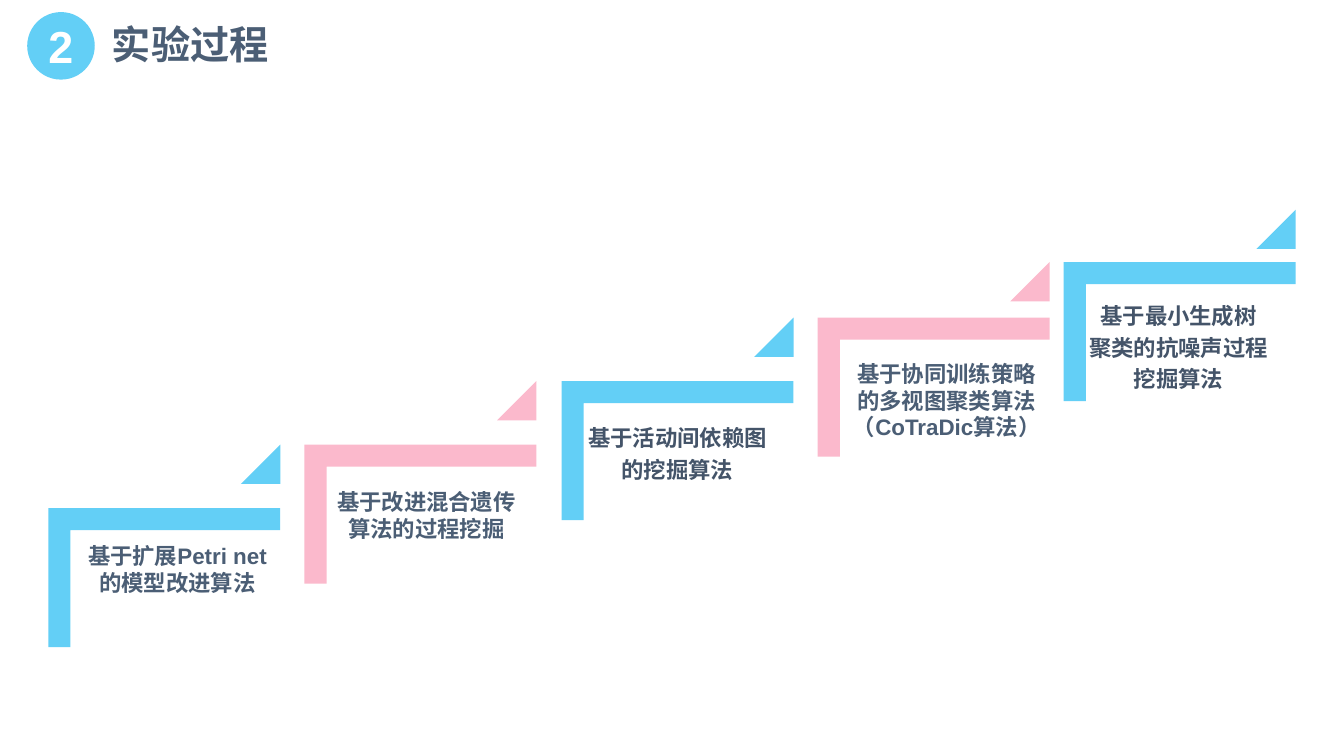
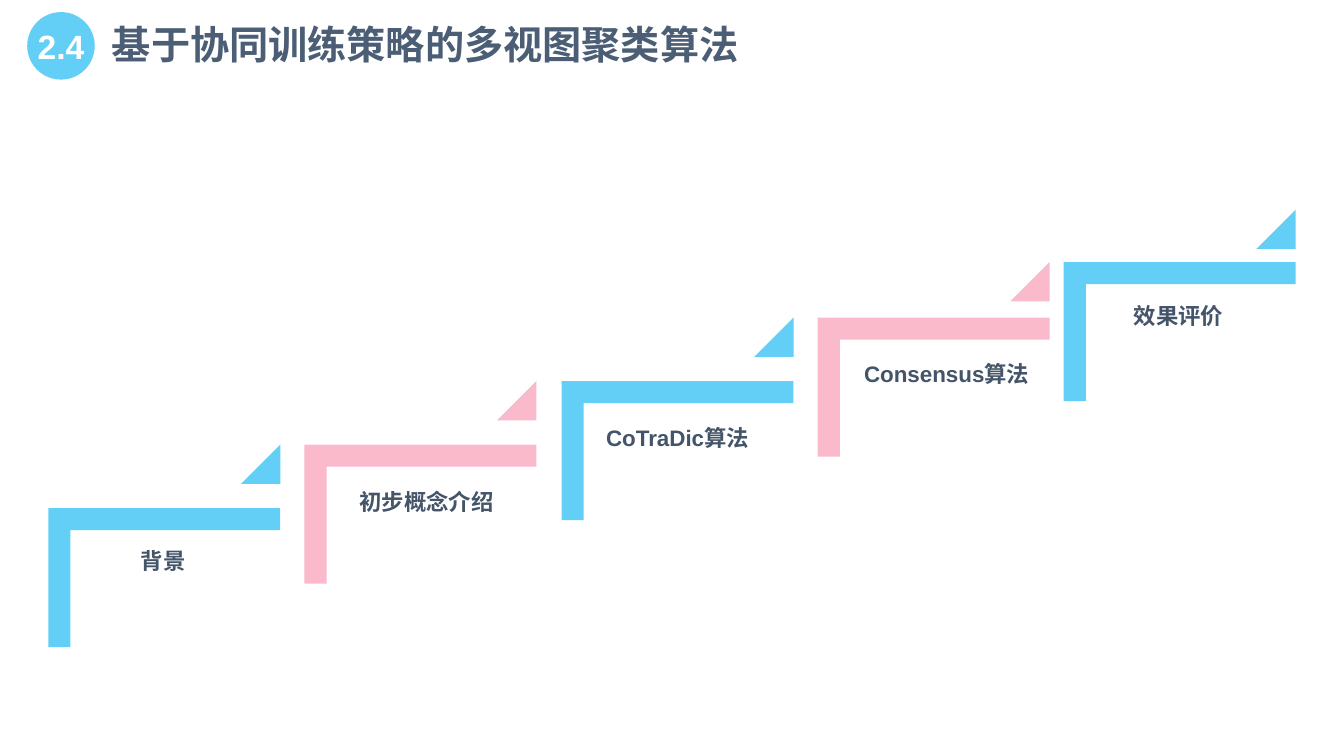
from pptx import Presentation
from pptx.dml.color import RGBColor
from pptx.enum import shapes, text
from pptx.util import Inches, Pt

BLUE = RGBColor(0x63, 0xCF, 0xF6)
PINK = RGBColor(0xFB, 0xB9, 0xCC)
WHITE = RGBColor(0xFF, 0xFF, 0xFF)
SLATE = RGBColor(0x4B, 0x5E, 0x75)
DARK_SLATE = RGBColor(0x44, 0x54, 0x69)
FONT = "Arial"

STEP_WIDTH, STEP_HEIGHT, BAND = 2.3, 1.38, 0.22
FLAG_SIZE = 0.39
LABEL_WIDTH = 2.56
STEPS = [
    (0.48, 5.04, 4.41, BLUE),
    (3.02, 4.41, 3.78, PINK),
    (5.57, 3.78, 3.15, BLUE),
    (8.11, 3.15, 2.6, PINK),
    (10.55, 2.6, 2.08, BLUE),
]

SLIDES = [
    ("2", 32, "实验过程", [
        (0.48, 5.38, "基于扩展Petri net\n的模型改进算法", SLATE, 0),
        (2.95, 4.84, "基于改进混合遗传\n算法的过程挖掘", SLATE, 0),
        (5.44, 4.21, "基于活动间依赖图\n的挖掘算法", DARK_SLATE, 3.2),
        (8.11, 3.57, "基于协同训练策略\n的多视图聚类算法\n（CoTraDic算法）", SLATE, 0),
        (10.41, 3, "基于最小生成树\n聚类的抗噪声过程\n挖掘算法", DARK_SLATE, 3.2),
    ]),
    ("2.4", 24, "基于协同训练策略的多视图聚类算法", [
        (0.34, 5.43, "背景", DARK_SLATE, 0),
        (2.95, 4.84, "初步概念介绍", DARK_SLATE, 0),
        (5.44, 4.21, "CoTraDic算法", DARK_SLATE, 0),
        (8.11, 3.57, "Consensus算法", DARK_SLATE, 0),
        (10.41, 3, "效果评价", DARK_SLATE, 0),
    ]),
]


def paint(shape, color):
    shape.shadow.inherit = False
    shape.fill.solid()
    shape.fill.fore_color.rgb = color
    shape.line.fill.background()


def write(frame, words, size, color, align, gap=0):
    frame.text = words
    for index, paragraph in enumerate(frame.paragraphs):
        paragraph.alignment = align
        paragraph.space_before = Pt(gap if index else 0)
        for run in paragraph.runs:
            run.font.name = FONT
            run.font.size = Pt(size)
            run.font.bold = True
            run.font.color.rgb = color


prs = Presentation()
prs.slide_width = Inches(13.33)
prs.slide_height = Inches(7.5)

for number, number_size, heading, labels in SLIDES:
    slide = prs.slides.add_slide(prs.slide_layouts[5])

    title = slide.shapes.title
    title.left, title.top = Inches(1.01), Inches(0.15)
    title.width, title.height = Inches(11.8), Inches(0.57)
    title.text_frame.auto_size = text.MSO_AUTO_SIZE.NONE
    title.text_frame.vertical_anchor = text.MSO_ANCHOR.MIDDLE
    write(title.text_frame, heading, 28, SLATE, text.PP_ALIGN.LEFT)

    badge = slide.shapes.add_shape(
        shapes.MSO_SHAPE.OVAL, Inches(0.27), Inches(0.12), Inches(0.67), Inches(0.67))
    paint(badge, BLUE)
    badge.text_frame.word_wrap = False
    badge.text_frame.margin_left = badge.text_frame.margin_right = 0
    badge.text_frame.margin_top = badge.text_frame.margin_bottom = 0
    write(badge.text_frame, number, number_size, WHITE, text.PP_ALIGN.CENTER)

    for left, top, flag_top, color in STEPS:
        right, bottom = left + STEP_WIDTH, top + STEP_HEIGHT
        corners = [
            (right, top), (right, top + BAND), (left + BAND, top + BAND),
            (left + BAND, bottom), (left, bottom),
        ]
        outline = slide.shapes.build_freeform(Inches(left), Inches(top))
        outline.add_line_segments([(Inches(x), Inches(y)) for x, y in corners])
        paint(outline.convert_to_shape(), color)

        flag = slide.shapes.add_shape(
            shapes.MSO_SHAPE.ISOSCELES_TRIANGLE, Inches(right - FLAG_SIZE),
            Inches(flag_top), Inches(FLAG_SIZE), Inches(FLAG_SIZE))
        flag.adjustments[0] = 1
        paint(flag, color)

    for left, top, words, color, gap in labels:
        lines = words.count("\n") + 1
        label = slide.shapes.add_textbox(
            Inches(left), Inches(top), Inches(LABEL_WIDTH), Inches(0.27 * lines))
        frame = label.text_frame
        frame.word_wrap = True
        frame.margin_left = frame.margin_right = 0
        frame.margin_top = frame.margin_bottom = 0
        write(frame, words, 16, color, text.PP_ALIGN.CENTER, gap)

prs.save("out.pptx")
